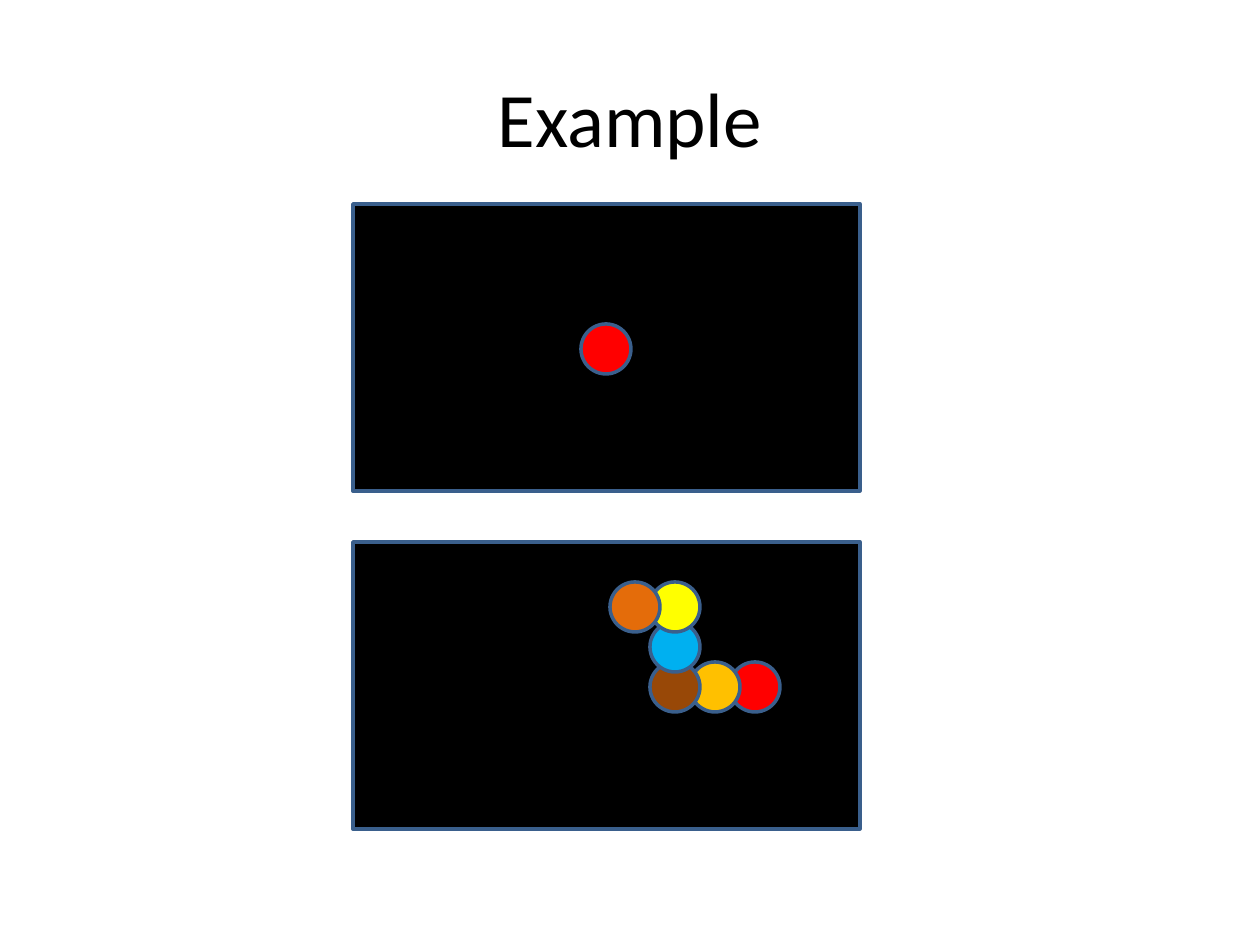
import pptx
import pptx.dml.color
import pptx.enum.shapes
import pptx.enum.text
import pptx.util

PX = pptx.util.Inches(1) / 126
SHAPE = pptx.enum.shapes.MSO_SHAPE


def px(*lengths):
    return [pptx.util.Emu(round(length * PX)) for length in lengths]


def color(hex_string):
    return pptx.dml.color.RGBColor.from_string(hex_string)


def write(para, text, *, size, fill, font):
    span = para.add_run()
    span.text = text
    span.font.name = font
    span.font.size = pptx.util.Pt(size)
    span.font.color.rgb = color(fill)


class Painter:
    font = "Calibri"
    ink = "000000"
    outline = "3A5F8C"
    diameter = 50

    def __init__(self, page):
        self.page = page

    def title(self, text, left, top, width, height):
        box = self.page.shapes.add_textbox(*px(left, top, width, height))
        frame = box.text_frame
        frame.word_wrap = True
        frame.vertical_anchor = pptx.enum.text.MSO_ANCHOR.MIDDLE
        para = frame.paragraphs[0]
        para.alignment = pptx.enum.text.PP_ALIGN.CENTER
        write(para, text, size=44, fill=self.ink, font=self.font)

    def shape(self, kind, fill, left, top, width, height):
        shape = self.page.shapes.add_shape(kind, *px(left, top, width, height))
        shape.shadow.inherit = False
        shape.fill.solid()
        shape.fill.fore_color.rgb = color(fill)
        shape.line.color.rgb = color(self.outline)
        shape.line.width = pptx.util.Pt(2)

    def panel(self, top):
        self.shape(SHAPE.RECTANGLE, self.ink, 353, top, 507, 287)

    def ball(self, fill, left, top):
        self.shape(SHAPE.OVAL, fill, left, top, self.diameter, self.diameter)


def main():
    deck = pptx.Presentation()
    deck.slide_width, deck.slide_height = px(1260, 945)
    painter = Painter(deck.slides.add_slide(deck.slide_layouts[6]))

    painter.title("Example", 63, 38, 1134, 157)

    # Upper panel: a single ball
    painter.panel(204)
    painter.ball("FF0000", 581, 324)

    # Lower panel: a chain of balls, placed in steps left and up
    painter.panel(542)
    step = 40
    chain = [
        ("FF0000", 0, 0),
        ("FFC000", 1, 0),
        ("984807", 2, 0),
        ("00B0F0", 2, 1),
        ("FFFF00", 2, 2),
        ("E46C0A", 3, 2),
    ]
    for fill, steps_left, steps_up in chain:
        painter.ball(fill, 730 - steps_left * step, 662 - steps_up * step)

    deck.save("out.pptx")


if __name__ == "__main__":
    main()
